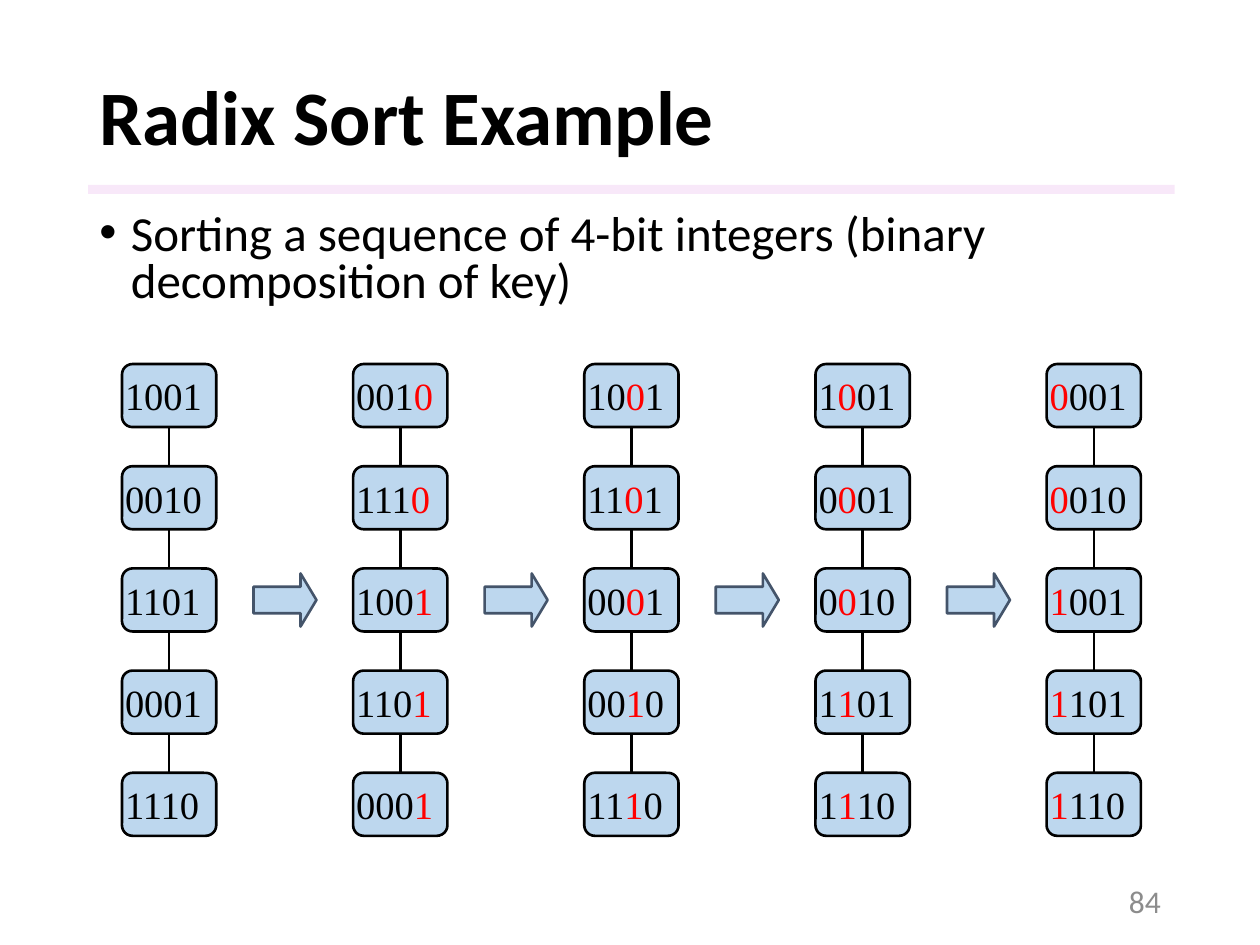
from dataclasses import dataclass

from lxml.etree import SubElement
from pptx import Presentation
from pptx.dml.color import RGBColor
from pptx.enum.shapes import MSO_CONNECTOR, MSO_SHAPE
from pptx.enum.text import MSO_ANCHOR, MSO_AUTO_SIZE, PP_ALIGN
from pptx.oxml.ns import qn
from pptx.util import Cm, Pt


@dataclass(frozen=True)
class Theme:
    """Colours, fonts and type sizes of the slide."""
    text: RGBColor = RGBColor(0x00, 0x00, 0x00)
    active_bit: RGBColor = RGBColor(0xFF, 0x00, 0x00)
    box: RGBColor = RGBColor(0xBD, 0xD7, 0xEE)
    arrow_line: RGBColor = RGBColor(0x44, 0x54, 0x6A)
    rule: RGBColor = RGBColor(0xF3, 0xD2, 0xF4)
    number: RGBColor = RGBColor(0x8C, 0x8C, 0x8C)
    font: str = "Calibri"
    key_font: str = "Times New Roman"
    title_size: Pt = Pt(44)
    body_size: Pt = Pt(28)
    key_size: Pt = Pt(22)
    number_size: Pt = Pt(18)
    line_width: Pt = Pt(1.5)


THEME = Theme()
KEYS = ["1001", "0010", "1101", "0001", "1110"]
LEFT, TOP = 2.46, 7.34
COLUMN_STEP, ROW_STEP = 4.66, 2.06
BOX_WIDTH, BOX_HEIGHT = 1.9, 1.27
ARROW_LEFT, ARROW_WIDTH, ARROW_HEIGHT = 5.21, 1.07, 1.27


def radix_passes(keys):
    """Yield each active bit with its key order, from the last bit to the first."""
    yield None, keys
    for bit in reversed(range(len(keys[0]))):
        keys = sorted(keys, key=lambda key: key[bit])
        yield bit, keys


def place(shape, left, top, width, height):
    """Move and size a shape in centimetres."""
    shape.left, shape.top = Cm(left), Cm(top)
    shape.width, shape.height = Cm(width), Cm(height)


def add_run(paragraph, text, size, color, font=THEME.font, bold=False):
    """Add one formatted run to a paragraph."""
    run = paragraph.add_run()
    run.text = text
    run.font.size, run.font.name, run.font.bold = size, font, bold
    run.font.color.rgb = color


def fill_title(slide):
    """Format the title placeholder."""
    title = slide.shapes.title
    place(title, 1.75, 1.02, 21.9, 2.82)
    frame = title.text_frame
    frame.auto_size = MSO_AUTO_SIZE.NONE
    frame.vertical_anchor = MSO_ANCHOR.MIDDLE
    paragraph = frame.paragraphs[0]
    paragraph.alignment = PP_ALIGN.LEFT
    paragraph.line_spacing = 0.9
    add_run(paragraph, "Radix Sort Example", THEME.title_size, THEME.text, bold=True)


def fill_body(slide):
    """Format the body placeholder with its bullet."""
    body = slide.placeholders[1]
    place(body, 1.75, 4.19, 21.9, 2.34)
    body.text_frame.auto_size = MSO_AUTO_SIZE.NONE
    paragraph = body.text_frame.paragraphs[0]
    paragraph.line_spacing = 0.8
    paragraph.space_before = Pt(10)
    properties = paragraph._p.get_or_add_pPr()
    properties.set("marL", str(Pt(18)))
    properties.set("indent", str(Pt(-18)))
    SubElement(properties, qn("a:buFont"), typeface="Arial")
    SubElement(properties, qn("a:buChar"), char="•")
    add_run(paragraph, "Sorting a sequence of 4-bit integers (binary decomposition of key)",
            THEME.body_size, THEME.text)


def add_title_rule(slide):
    """Add the half-transparent bar below the title."""
    rule = slide.shapes.add_shape(MSO_SHAPE.RECTANGLE, Cm(1.78), Cm(3.73), Cm(21.9), Cm(0.18))
    rule.shadow.inherit = False
    rule.fill.solid()
    rule.fill.fore_color.rgb = THEME.rule
    color = rule._element.spPr.find(qn("a:solidFill")).find(qn("a:srgbClr"))
    SubElement(color, qn("a:alpha"), val="50000")
    rule.line.fill.background()


def add_slide_number(slide):
    """Add the slide number at the lower right."""
    box = slide.shapes.add_textbox(Cm(17.93), Cm(17.65), Cm(5.72), Cm(1.02))
    box.text_frame.word_wrap = True
    box.text_frame.vertical_anchor = MSO_ANCHOR.MIDDLE
    paragraph = box.text_frame.paragraphs[0]
    paragraph.alignment = PP_ALIGN.RIGHT
    add_run(paragraph, "84", THEME.number_size, THEME.number)


def add_filled_shape(slide, kind, left, top, width, height, line_color):
    """Add a light blue outlined shape."""
    shape = slide.shapes.add_shape(kind, Cm(left), Cm(top), Cm(width), Cm(height))
    shape.shadow.inherit = False
    shape.fill.solid()
    shape.fill.fore_color.rgb = THEME.box
    shape.line.color.rgb = line_color
    shape.line.width = THEME.line_width
    return shape


def add_key_box(slide, left, top, key, bit):
    """Add a key with its active bit highlighted."""
    box = add_filled_shape(slide, MSO_SHAPE.ROUNDED_RECTANGLE, left, top,
                           BOX_WIDTH, BOX_HEIGHT, THEME.text)
    frame = box.text_frame
    frame.word_wrap = False
    frame.margin_left = frame.margin_right = 0
    frame.vertical_anchor = MSO_ANCHOR.MIDDLE
    paragraph = frame.paragraphs[0]
    paragraph.alignment = PP_ALIGN.LEFT
    if bit is None:
        parts = [(key, THEME.text)]
    else:
        parts = [(key[:bit], THEME.text), (key[bit], THEME.active_bit),
                 (key[bit + 1:], THEME.text)]
    for text, color in parts:
        if text:
            add_run(paragraph, text, THEME.key_size, color, THEME.key_font)
    return box


def add_chain_line(slide):
    """Add the plain line that lies behind a column of keys."""
    line = slide.shapes.add_connector(MSO_CONNECTOR.STRAIGHT, 0, 0, 0, 0)
    line.line.color.rgb = THEME.text
    line.line.width = THEME.line_width
    SubElement(line._element.spPr, qn("a:effectLst"))
    return line


def add_key_column(slide, left, keys, bit):
    """Add a column of keys joined from first to last."""
    line = add_chain_line(slide)
    boxes = [add_key_box(slide, left, TOP + row * ROW_STEP, key, bit)
             for row, key in enumerate(keys)]
    line.begin_connect(boxes[0], 2)
    line.end_connect(boxes[-1], 0)


def add_pass_arrow(slide, left):
    """Add an arrow to the next pass, level with the middle row."""
    top = TOP + len(KEYS) // 2 * ROW_STEP
    arrow = add_filled_shape(slide, MSO_SHAPE.DOWN_ARROW, left, top,
                             ARROW_WIDTH, ARROW_HEIGHT, THEME.arrow_line)
    arrow.rotation = 270
    arrow.adjustments[0] = 0.5
    arrow.adjustments[1] = 0.3


def main():
    """Build the slide and save it."""
    presentation = Presentation()
    presentation.slide_width, presentation.slide_height = Cm(25.4), Cm(19.05)
    slide = presentation.slides.add_slide(presentation.slide_layouts[1])
    add_title_rule(slide)
    fill_title(slide)
    fill_body(slide)
    add_slide_number(slide)
    passes = list(radix_passes(KEYS))
    for column, (bit, keys) in enumerate(passes):
        add_key_column(slide, LEFT + column * COLUMN_STEP, keys, bit)
    for gap in range(len(passes) - 1):
        add_pass_arrow(slide, ARROW_LEFT + gap * COLUMN_STEP)
    presentation.save("out.pptx")


if __name__ == "__main__":
    main()
